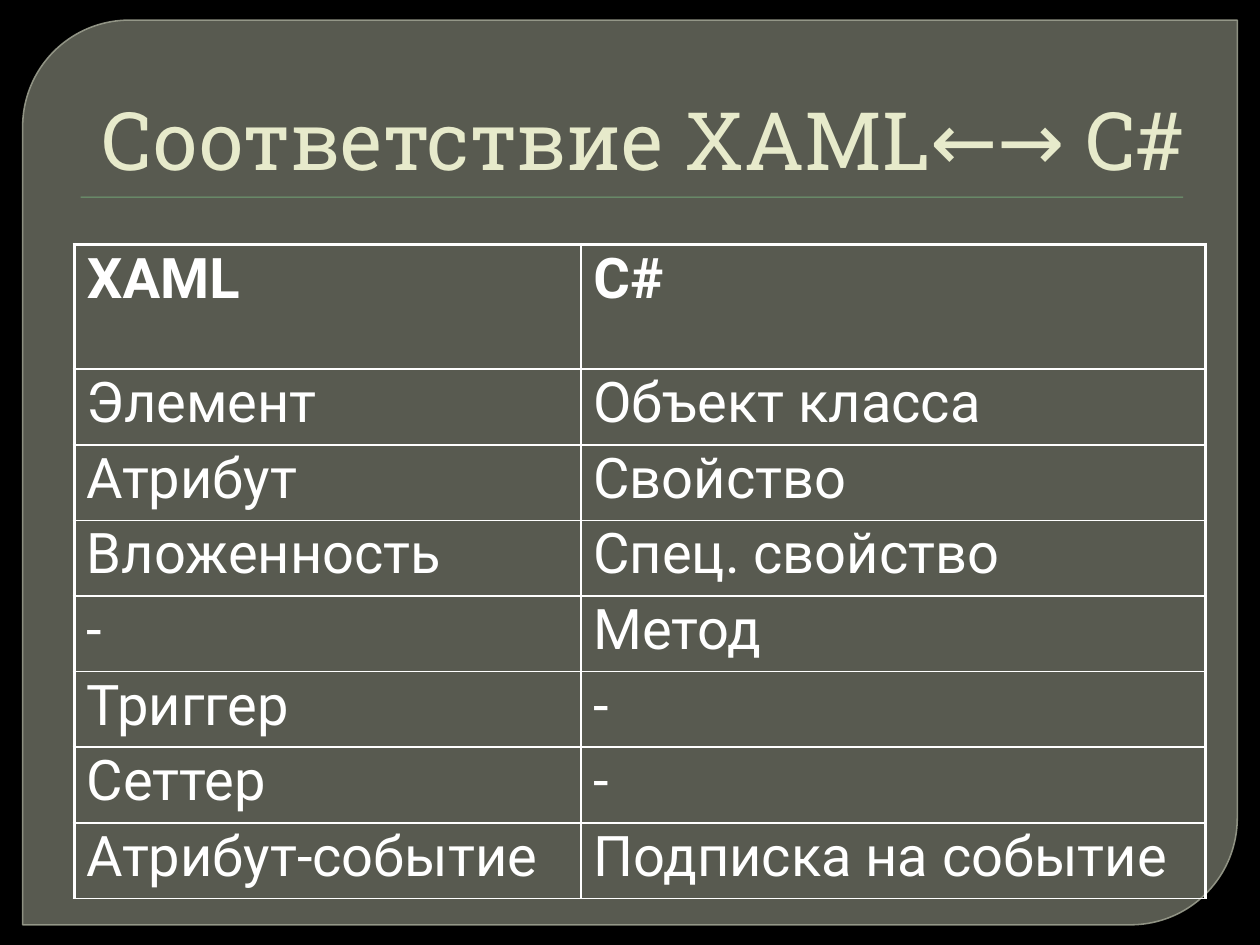
import dataclasses

import lxml.etree
import pptx
import pptx.dml.color
import pptx.enum.shapes
import pptx.enum.text
import pptx.oxml.ns
import pptx.shapes.autoshape
import pptx.slide
import pptx.table
import pptx.text.text
import pptx.util

Inches = pptx.util.Inches
Pt = pptx.util.Pt
RGBColor = pptx.dml.color.RGBColor
qn = pptx.oxml.ns.qn
Shapes = pptx.enum.shapes.MSO_SHAPE


@dataclasses.dataclass(frozen=True)
class Theme:
    background: str = "000000"
    panel: str = "888B7B"
    panel_line: str = "9DA090"
    rule: str = "72A376"
    title: str = "E7EACB"
    text: str = "FFFFFF"
    title_font: str = "Roboto Slab"
    body_font: str = "Roboto"
    title_size: float = 46
    body_size: float = 32
    outer_border: float = 2.25
    inner_border: float = 1


@dataclasses.dataclass(frozen=True)
class Area:
    left: float
    top: float
    width: float
    height: float

    def lengths(self) -> tuple:
        return tuple(Inches(value) for value in dataclasses.astuple(self))


@dataclasses.dataclass(frozen=True)
class Match:
    xaml: str
    csharp: str


THEME = Theme()
MATCHES = [
    Match("XAML", "C#"),
    Match("Элемент", "Объект класса"),
    Match("Атрибут", "Свойство"),
    Match("Вложенность", "Спец. свойство"),
    Match("-", "Метод"),
    Match("Триггер", "-"),
    Match("Сеттер", "-"),
    Match("Атрибут-событие", "Подписка на событие"),
]
COLUMN_WIDTHS = [4.02, 4.96]
HEADER_HEIGHT = 0.99
ROW_HEIGHT = 0.6


def add_span(para: pptx.text.text._Paragraph, text: str, font: str,
             size: float, color: str, bold: bool = False) -> None:
    span = para.add_run()
    span.text = text
    span.font.name = font
    span.font.size = Pt(size)
    span.font.bold = bold
    span.font.color.rgb = RGBColor.from_string(color)


def add_filled_shape(slide: pptx.slide.Slide, kind: Shapes, area: Area,
                     color: str) -> pptx.shapes.autoshape.Shape:
    shape = slide.shapes.add_shape(kind, *area.lengths())
    shape.shadow.inherit = False
    shape.fill.solid()
    shape.fill.fore_color.rgb = RGBColor.from_string(color)
    shape.line.fill.background()
    return shape


def set_opacity(shape: pptx.shapes.autoshape.Shape, fill: int, line: int) -> None:
    colors = shape.element.spPr.iter(qn("a:srgbClr"))
    for color, percent in zip(list(colors), (fill, line)):
        lxml.etree.SubElement(color, qn("a:alpha"), val=str(percent * 1000))


def add_panel(slide: pptx.slide.Slide) -> None:
    panel = add_filled_shape(slide, Shapes.ROUND_2_DIAG_RECTANGLE,
                             Area(0.18, 0.16, 9.64, 7.18), THEME.panel)
    panel.adjustments[0] = 0.118
    panel.adjustments[1] = 0
    panel.line.color.rgb = RGBColor.from_string(THEME.panel_line)
    panel.line.width = Pt(0.87)
    set_opacity(panel, fill=65, line=88)


def add_title(slide: pptx.slide.Slide, text: str) -> None:
    box = slide.shapes.add_textbox(*Area(0.5, 0.28, 9, 1.25).lengths())
    frame = box.text_frame
    frame.word_wrap = True
    frame.vertical_anchor = pptx.enum.text.MSO_ANCHOR.BOTTOM
    para = frame.paragraphs[0]
    para.alignment = pptx.enum.text.PP_ALIGN.RIGHT
    add_span(para, text, THEME.title_font, THEME.title_size, THEME.title)


def set_borders(cell: pptx.table._Cell, widths: dict[str, float]) -> None:
    properties = cell._tc.get_or_add_tcPr()
    for position, (side, width) in enumerate(widths.items()):
        border = lxml.etree.Element(qn(f"a:ln{side}"), w=str(Pt(width)))
        fill = lxml.etree.SubElement(border, qn("a:solidFill"))
        lxml.etree.SubElement(fill, qn("a:srgbClr"), val=THEME.text)
        properties.insert(position, border)


def fill_cell(cell: pptx.table._Cell, text: str, row: int, column: int) -> None:
    cell.fill.background()
    outer, inner = THEME.outer_border, THEME.inner_border
    last_column = len(COLUMN_WIDTHS) - 1
    set_borders(cell, {
        "L": outer if column == 0 else inner,
        "R": outer if column == last_column else inner,
        "T": outer if row == 0 else inner,
        "B": inner,
    })
    para = cell.text_frame.paragraphs[0]
    para.line_spacing = 0.9
    add_span(para, text, THEME.body_font, THEME.body_size, THEME.text, bold=row == 0)


def add_match_table(slide: pptx.slide.Slide) -> None:
    height = HEADER_HEIGHT + ROW_HEIGHT * (len(MATCHES) - 1)
    area = Area(0.59, 1.94, sum(COLUMN_WIDTHS), height)
    table = slide.shapes.add_table(
        len(MATCHES), len(COLUMN_WIDTHS), *area.lengths()).table
    table.first_row = False
    table.horz_banding = False
    for column, width in zip(table.columns, COLUMN_WIDTHS):
        column.width = Inches(width)
    for row, match in enumerate(MATCHES):
        table.rows[row].height = Inches(ROW_HEIGHT if row else HEADER_HEIGHT)
        for column, text in enumerate(dataclasses.astuple(match)):
            fill_cell(table.cell(row, column), text, row, column)


def main() -> None:
    deck = pptx.Presentation()
    deck.slide_width = Inches(10)
    deck.slide_height = Inches(7.5)
    slide = deck.slides.add_slide(deck.slide_layouts[6])
    slide.background.fill.solid()
    slide.background.fill.fore_color.rgb = RGBColor.from_string(THEME.background)
    add_panel(slide)
    add_filled_shape(slide, Shapes.RECTANGLE, Area(0.64, 1.56, 8.75, 0.01), THEME.rule)
    add_match_table(slide)
    add_title(slide, "Соответствие XAML←→ C#")
    deck.save("out.pptx")


if __name__ == "__main__":
    main()
